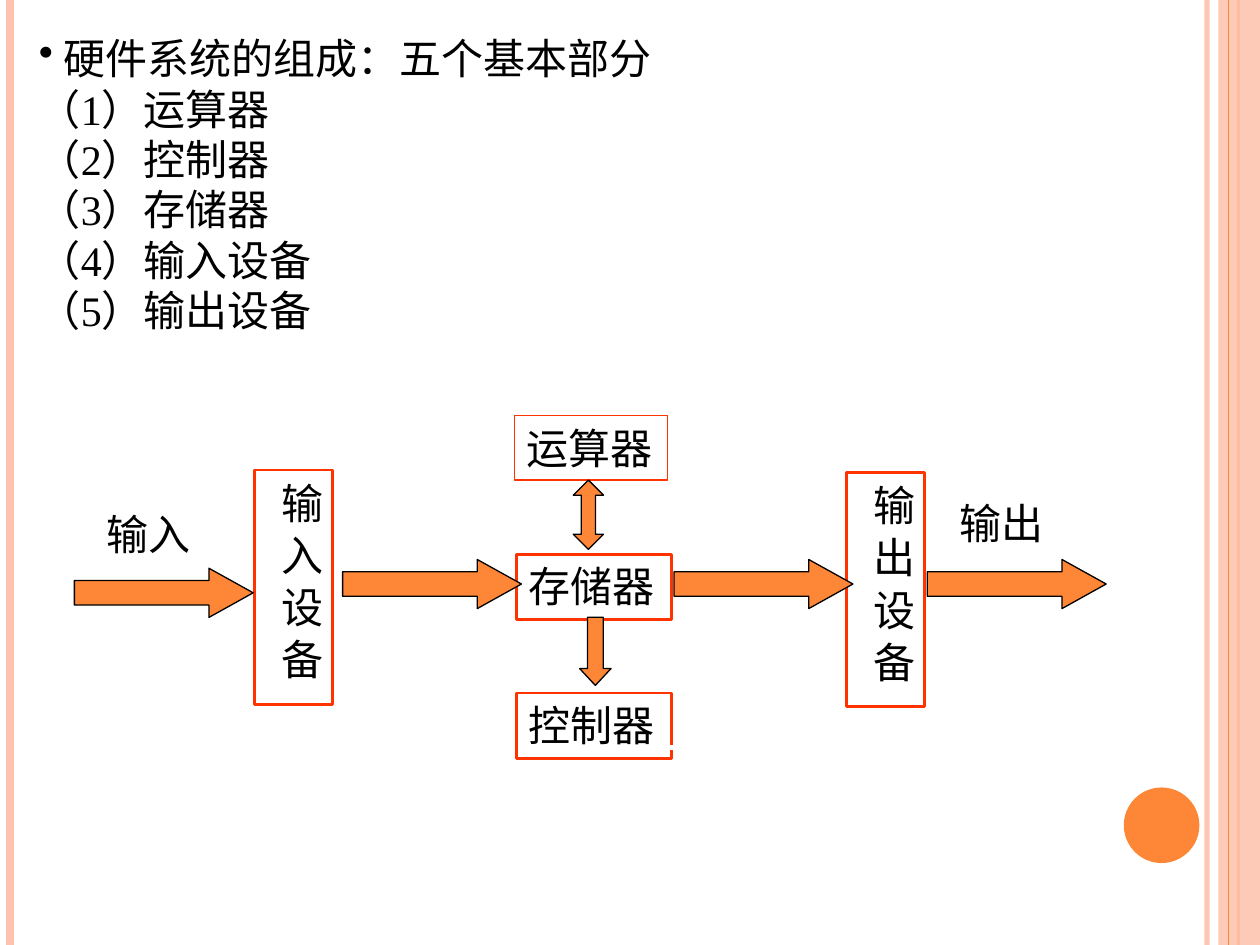
from lxml import etree
from pptx import Presentation
from pptx.dml.color import RGBColor
from pptx.enum import shapes, text
from pptx.oxml.ns import qn
from pptx.util import Pt

COLORS = {"orange": "FE8637", "peach": "FEC3AE", "red": "FF3300",
          "black": "000000", "white": "FFFFFF"}
W, H = 720, 540

# Content: lengths in points
TITLE = "硬件系统的组成：五个基本部分"
PARTS = ["运算器", "控制器", "存储器", "输入设备", "输出设备"]

# text, left, top, width, height, line width
UNITS = [("运算器", 293.8, 237.6, 87.8, 36.7, 0.75),
         ("存储器", 295.2, 316.8, 88.6, 37.4, 1.5),
         ("控制器", 295.2, 396, 88.6, 37.4, 1.5)]
DEVICES = [("输 入 设 备", 145.4, 268.6), ("输 出 设 备", 483.8, 270)]
DEVICE_SIZE = (44.6, 133.9)
LABELS = [("输入", 54, 287.3), ("输出", 541.4, 280.8)]
LABEL_SIZE = (64, 37.4)

FLOW_ARROWS = [(42.5, 324.7), (195.8, 319.7), (385.2, 319.7), (529.9, 319.7)]
FLOW_SIZE = (102.2, 28.1)
# shape, left, top, width, height, head ratio
VERTICAL_ARROWS = [("UP_DOWN_ARROW", 327.6, 274.3, 17.3, 39.6, 0.466),
                   ("DOWN_ARROW", 331.2, 352.8, 18, 38.9, 0.536)]

prs = Presentation()
prs.slide_width, prs.slide_height = Pt(W), Pt(H)
sp_tree = prs.slides.add_slide(prs.slide_layouts[6]).shapes


def rgb(name):
    return RGBColor.from_string(COLORS[name])


def set_alpha(sp, percent):
    clr = next(sp._element.spPr.iter(qn("a:srgbClr")))
    etree.SubElement(clr, qn("a:alpha")).set("val", str(percent * 1000))


def add_line(x1, y1, x2, y2, color, width):
    ln = sp_tree.add_connector(shapes.MSO_CONNECTOR.STRAIGHT,
                               Pt(x1), Pt(y1), Pt(x2), Pt(y2))
    ln.line.color.rgb = rgb(color)
    ln.line.width = Pt(width)
    etree.SubElement(ln._element.spPr, qn("a:effectLst"))
    return ln


def add_shape(kind, x, y, w, h, fill=None, line=None, width=0.75):
    sp = sp_tree.add_shape(getattr(shapes.MSO_SHAPE, kind),
                           Pt(x), Pt(y), Pt(w), Pt(h))
    sp.shadow.inherit = False
    if fill:
        sp.fill.solid()
        sp.fill.fore_color.rgb = rgb(fill)
    else:
        sp.fill.background()
    if line:
        sp.line.color.rgb = rgb(line)
        sp.line.width = Pt(width)
    else:
        sp.line.fill.background()
    return sp


def add_text(sp, content, font="Arial", size=24, wrap=False, vertical=False,
             new_paragraph=False, bullet_indent=0):
    tf = sp.text_frame
    tf.word_wrap = wrap
    tf.vertical_anchor = text.MSO_ANCHOR.TOP
    if vertical:
        tf._txBody.bodyPr.set("vert", "eaVert")
    p = tf.add_paragraph() if new_paragraph else tf.paragraphs[0]
    p.alignment = text.PP_ALIGN.LEFT
    if bullet_indent:
        pPr = p._p.get_or_add_pPr()
        pPr.set("marL", str(Pt(bullet_indent)))
        pPr.set("indent", str(-Pt(bullet_indent)))
        etree.SubElement(pPr, qn("a:buChar")).set("char", "•")
    r = p.add_run()
    r.text = content
    r.font.name, r.font.size = font, Pt(size)
    r.font.color.rgb = rgb("black")


# Side stripes and corner disc
set_alpha(add_line(689.8, 0, 689.8, H, "peach", 3), 93)
add_line(5.8, 0, 5.8, H, "peach", 4.5)
add_line(707.8, 0, 707.8, H, "orange", 1.5)
set_alpha(add_shape("RECTANGLE", 696.2, 0, 23.8, H, fill="peach"), 87)
add_line(702, 0, 702, H, "orange", 0.75)
add_shape("OVAL", 642.2, 450, 43.2, 43.2, fill="orange")

# Heading and numbered list
box = sp_tree.add_textbox(Pt(15.1), Pt(15.1), Pt(390.2), Pt(180))
add_text(box, TITLE, font="Times New Roman", wrap=True, bullet_indent=14.3)
for n, part in enumerate(PARTS, 1):
    add_text(box, f"（{n}）{part}", font="Times New Roman", wrap=True,
             new_paragraph=True)

# Boxes of the diagram
for name, x, y, w, h, width in UNITS:
    add_text(add_shape("RECTANGLE", x, y, w, h, line="red", width=width), name)
for name, x, y in DEVICES:
    sp = add_shape("RECTANGLE", x, y, *DEVICE_SIZE, line="red", width=1.5)
    add_text(sp, name, wrap=True, vertical=True)

# White control line that cuts the controller's border
add_line(383, 427, 513.4, 427, "white", 3)

# Arrows
for x, y in FLOW_ARROWS:
    sp = add_shape("RIGHT_ARROW", x, y, *FLOW_SIZE, fill="orange", line="black")
    sp.adjustments[0], sp.adjustments[1] = 0.5, 0.9
for kind, x, y, w, h, head in VERTICAL_ARROWS:
    sp = add_shape(kind, x, y, w, h, fill="orange", line="black")
    sp.adjustments[0], sp.adjustments[1] = 0.5, head

# Flow labels
for name, x, y in LABELS:
    w, h = LABEL_SIZE
    add_text(sp_tree.add_textbox(Pt(x), Pt(y), Pt(w), Pt(h)), name)

prs.save("out.pptx")
